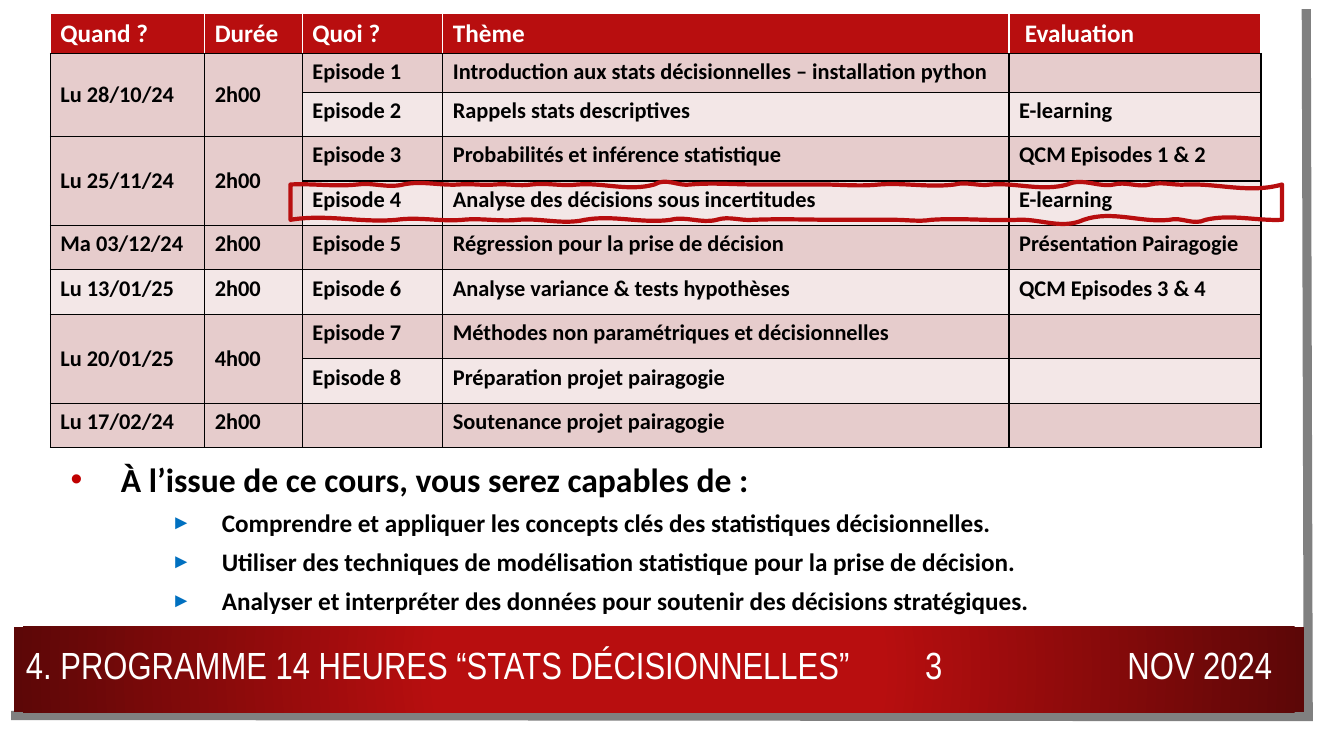
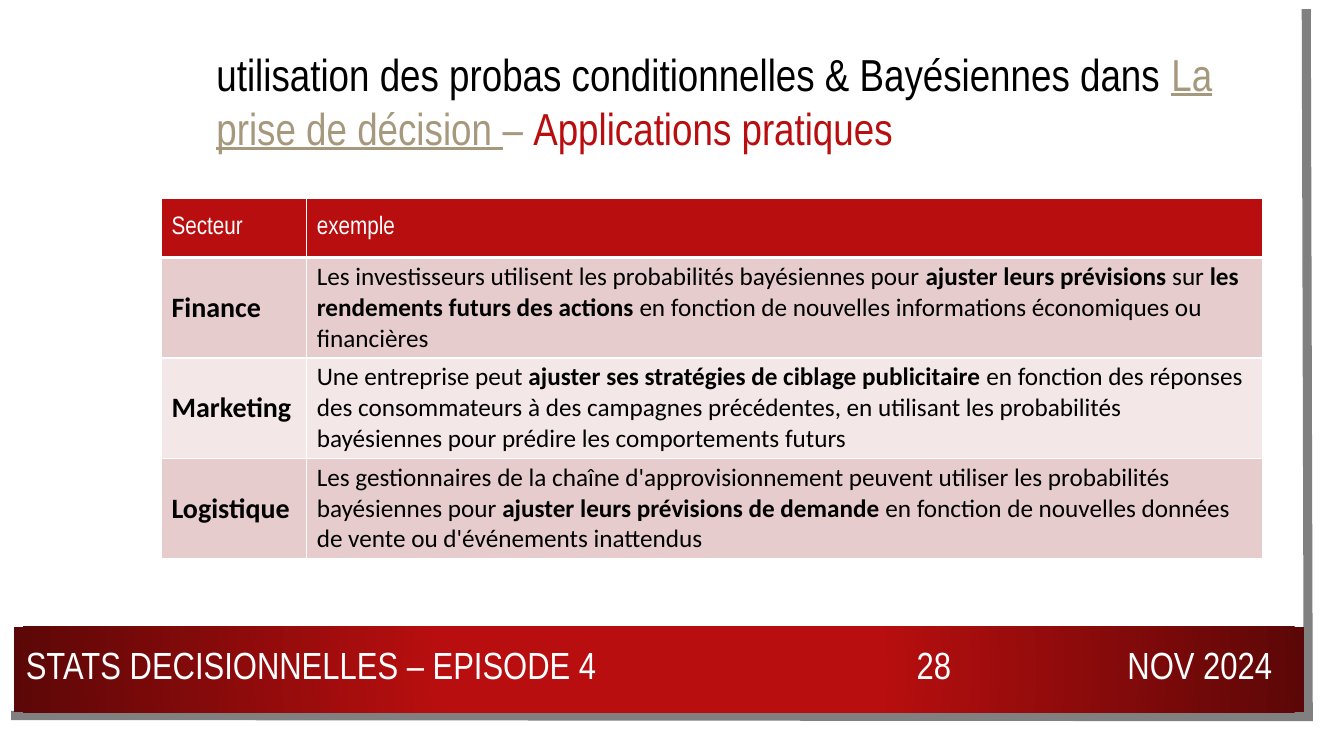
import pptx
import pptx.util
import pptx.dml.color
import pptx.enum.shapes
import pptx.enum.text
import pptx.oxml
import pptx.oxml.ns
from lxml import etree

Cm = pptx.util.Cm
Pt = pptx.util.Pt
ALIGN = pptx.enum.text.PP_ALIGN
ANCHOR = pptx.enum.text.MSO_ANCHOR
RED, DARK, ROSE, PALE = "B80E0F", "5C0707", "E6CCCC", "F3E7E7"
WHITE, BLACK, GREY, TAN = "FFFFFF", "000000", "808080", "A6987D"
NARROW, SANS = "Arial Narrow", "Calibri"
PLAIN = "{2D5ABB26-0587-4C30-8999-92F81FD0307C}"
FOOT = (0.35, 15.79, 32.51, 2.16)

PLAN = [
    ["Quand ?", "Durée", "Quoi ?", "Thème", "Evaluation"],
    ["Lu 28/10/24", "2h00", "Episode 1",
     "Introduction aux stats décisionnelles – installation python", ""],
    ["", "", "Episode 2", "Rappels stats descriptives", "E-learning"],
    ["Lu 25/11/24", "2h00", "Episode 3",
     "Probabilités et inférence statistique", "QCM Episodes 1 & 2"],
    ["", "", "Episode 4", "Analyse des décisions sous incertitudes", "E-learning"],
    ["Ma 03/12/24", "2h00", "Episode 5",
     "Régression pour la prise de décision", "Présentation Pairagogie"],
    ["Lu 13/01/25", "2h00", "Episode 6",
     "Analyse variance & tests hypothèses", "QCM Episodes 3 & 4"],
    ["Lu 20/01/25", "4h00", "Episode 7",
     "Méthodes non paramétriques et décisionnelles", ""],
    ["", "", "Episode 8", "Préparation projet pairagogie", ""],
    ["Lu 17/02/24", "2h00", "", "Soutenance projet pairagogie", ""],
]
GOALS = [
    "À l’issue de ce cours, vous serez capables de :",
    "Comprendre et appliquer les concepts clés des statistiques décisionnelles.",
    "Utiliser des techniques de modélisation statistique pour la prise de décision.",
    "Analyser et interpréter des données pour soutenir des décisions stratégiques.",
]
CASES = [
    ["Secteur", "exemple"],
    ["|Finance|",
     "Les investisseurs utilisent les probabilités bayésiennes pour |ajuster leurs "
     "prévisions |sur |les rendements futurs des actions |en fonction de nouvelles "
     "informations économiques ou financières"],
    ["|Marketing|",
     "Une entreprise peut |ajuster ses stratégies de ciblage publicitaire |en fonction "
     "des réponses des consommateurs à des campagnes précédentes, en utilisant les "
     "probabilités bayésiennes pour prédire les comportements futurs"],
    ["|Logistique|",
     "Les gestionnaires de la chaîne d'approvisionnement peuvent utiliser les "
     "probabilités bayésiennes pour |ajuster leurs prévisions de demande |en fonction "
     "de nouvelles données de vente ou d'événements inattendus"],
]
CREST = [
    (0, 0.03), (1.68, 0.06), (2.84, 0.1), (4.24, 0.03), (5.16, 0.03), (6.07, 0.05),
    (7.24, 0.05), (9.17, 0.18), (10.08, 0.05), (11.73, 0), (13.41, 0), (14.83, 0.05),
    (16.74, 0.08), (17.65, 0.05), (19.58, 0.18), (20.75, 0.08), (21.67, 0.08),
    (22.58, 0.03), (24.99, 0.23),
]
BASE = [
    (24.99, -0.03), (23.06, -0.15), (22.15, -0.08), (19.99, -0.25), (18.34, -0.03),
    (16.15, -0.05), (15.24, 0), (13.82, 0), (11.66, -0.03), (10.74, -0.1), (9.58, -0.1),
    (7.42, -0.13), (5.74, -0.05), (4.34, -0.05), (2.67, -0.08), (0, -0.15),
]


def hue(code):
    return pptx.dml.color.RGBColor.from_string(code)


def place(box):
    return [Cm(v) for v in box]


def style(font, size, face, code, bold=None):
    font.size, font.name, font.bold = Pt(size), face, bold
    font.color.rgb = hue(code)


def rect(slide, box):
    shape = slide.shapes.add_shape(pptx.enum.shapes.MSO_SHAPE.RECTANGLE, *place(box))
    shape.shadow.inherit = False
    shape.line.fill.background()
    return shape


def trace(slide, dots, code, width, close):
    dots = [(Cm(x), Cm(y)) for x, y in dots]
    pen = slide.shapes.build_freeform(*dots[0], scale=1.0)
    pen.add_line_segments(dots[1:], close=close)
    shape = pen.convert_to_shape()
    shape.shadow.inherit = False
    shape.fill.background()
    shape.line.color.rgb = hue(code)
    shape.line.width = Pt(width)
    return shape


def backdrop(slide, layout):
    sheet = rect(slide, (0.33, 0.23, 33.27, 18.47))
    sheet.fill.solid()
    sheet.fill.fore_color.rgb = hue(WHITE)
    edge = trace(slide, [(32.92, 0.23), (32.97, 18.06), (0.28, 18.03)], GREY, 6.5, False)
    join = etree.SubElement(edge.element.xpath(".//a:ln")[0], pptx.oxml.ns.qn("a:miter"))
    join.set("lim", "800000")
    band = rect(slide, FOOT)
    band.fill.gradient()
    for stop, (code, spot) in zip(band.fill.gradient_stops, ((RED, 0.34), (DARK, 1))):
        stop.color.rgb, stop.position = hue(code), spot
    line = band.element.xpath(".//a:lin")[0]
    line.getparent().replace(line, pptx.oxml.parse_xml(
        f'<a:path {pptx.oxml.ns.nsdecls("a")} path="circle">'
        '<a:fillToRect l="50000" t="50000" r="50000" b="50000"/></a:path>'))
    for i, shape in enumerate((sheet, edge, band)):
        shape.element.xpath(".//p:cNvPr")[0].set("id", str(101 + i))
        layout.shapes.element.insert(2 + i, shape.element)


def footer(slide, box, label, number, title=None):
    left, top = box[:2]
    parts = (
        (label, 0.05, 21.84, ALIGN.LEFT, title),
        (number, 21.93, 2.51, ALIGN.CENTER, None),
        ("NOV 2024", 24.49, 7.47, ALIGN.RIGHT, None),
    )
    for text, x, width, align, shape in parts:
        spot = place((left + x, top + 0.26, width, 1.4))
        shape = shape or slide.shapes.add_textbox(*spot)
        shape.left, shape.top, shape.width, shape.height = spot
        frame = shape.text_frame
        frame.word_wrap = True
        frame.auto_size = pptx.enum.text.MSO_AUTO_SIZE.NONE
        frame.vertical_anchor = ANCHOR.MIDDLE
        para = frame.paragraphs[0]
        para.text, para.alignment = text, align
        style(para.font, 27, NARROW, WHITE)


def border(cell, code, base=None):
    props = cell._tc.get_or_add_tcPr()
    for i, side in enumerate("LRTB"):
        tint, width = base if base and side == "B" else (code, 1)
        props.insert(i, pptx.oxml.parse_xml(
            f'<a:ln{side} {pptx.oxml.ns.nsdecls("a")} w="{Pt(width)}"><a:solidFill>'
            f'<a:srgbClr val="{tint}"/></a:solidFill></a:ln{side}>'))


def grid(slide, spot, cols, rows, data, look):
    size = (sum(cols), sum(rows))
    table = slide.shapes.add_table(len(rows), len(cols), *place(spot + size)).table
    table.first_row = table.horz_banding = False
    table._tbl.tblPr.find(pptx.oxml.ns.qn("a:tableStyleId")).text = PLAIN
    for col, width in zip(table.columns, cols):
        col.width = Cm(width)
    for row, height in zip(table.rows, rows):
        row.height = Cm(height)
    for r, line in enumerate(data):
        for c, text in enumerate(line):
            cell = table.cell(r, c)
            cell.fill.solid()
            cell.fill.fore_color.rgb = hue(RED if r == 0 else ROSE if r % 2 else PALE)
            cell.vertical_anchor = look["anchor"]
            head = r == 0
            border(cell, WHITE if head else look["rule"], look["base"] if head else None)
            para = cell.text_frame.paragraphs[0]
            for i, part in enumerate(text.split("|")):
                if part:
                    run = para.add_run()
                    run.text = part
                    if i % 2:
                        run.font.bold = True
            if head:
                style(para.font, 18, look["face"], WHITE, look["bold"])
            else:
                style(para.font, look["sizes"][c], SANS, BLACK, look["bold"])
    return table


def program(slide, spot):
    look = dict(anchor=ANCHOR.TOP, rule=BLACK, base=(BLACK, 1), face=SANS,
                bold=True, sizes=[16] * 5)
    rows = [1.02, 0.98, 1.11] + [1.12] * 7
    table = grid(slide, spot, (3.89, 2.46, 3.54, 14.27, 6.35), rows, PLAN, look)
    table.cell(0, 4).margin_left = Cm(0.4)
    for r, line in enumerate(PLAN):
        if not line[0]:
            for c in (0, 1):
                table.cell(r - 1, c).merge(table.cell(r, c))
                table.cell(r - 1, c).vertical_anchor = ANCHOR.MIDDLE


def bullet(para, mark, code, indent, scale):
    props = para._p.get_or_add_pPr()
    props.set("marL", str(Cm(indent)))
    props.set("indent", str(-Cm(1.27)))
    tint = etree.SubElement(props, pptx.oxml.ns.qn("a:buClr"))
    etree.SubElement(tint, pptx.oxml.ns.qn("a:srgbClr")).set("val", code)
    for tag, key, val in (("buSzPct", "val", str(scale * 1000)),
                          ("buFont", "typeface", "Arial"), ("buChar", "char", mark)):
        etree.SubElement(props, pptx.oxml.ns.qn("a:" + tag)).set(key, val)


def goals(slide, box):
    frame = slide.shapes.add_textbox(*place(box)).text_frame
    frame.word_wrap = True
    for i, text in enumerate(GOALS):
        para = frame.add_paragraph() if i else frame.paragraphs[0]
        para.text = text
        if i:
            para.level = 2
            bullet(para, "►", "0070C0", 3.81, 80)
        else:
            bullet(para, "•", "C00000", 1.27, 100)
        para.alignment = ALIGN.JUSTIFY
        para.space_after = Pt(6)
        style(para.font, 18 if i else 24, SANS, BLACK, True)


def sketch(slide, spot, height):
    left, top = spot
    knots = [(x, 0, d) for x, d in CREST] + [(x, height, d) for x, d in BASE]
    shape = trace(slide, [(left + x, top + y) for x, y, d in knots], RED, 3, True)
    lines = shape.element.xpath(".//a:lnTo")
    for line, (x0, y0, d0), (x1, y1, d1) in zip(lines, knots, knots[1:]):
        if y0 != y1:
            continue
        third = (x1 - x0) / 3
        arc = etree.Element(pptx.oxml.ns.qn("a:cubicBezTo"))
        for x, y in ((x0 + third, y0 - d0), (x1 - third, y1 + d1), (x1, y1)):
            dot = etree.SubElement(arc, pptx.oxml.ns.qn("a:pt"))
            dot.set("x", str(Cm(x)))
            dot.set("y", str(Cm(y)))
        line.getparent().replace(line, arc)


def heading(slide, box):
    title = slide.shapes.title
    title.left, title.top, title.width, title.height = place(box)
    frame = title.text_frame
    frame.word_wrap = True
    frame.auto_size = pptx.enum.text.MSO_AUTO_SIZE.NONE
    frame.vertical_anchor = ANCHOR.TOP
    para = frame.paragraphs[0]
    para.alignment = ALIGN.LEFT
    style(para.font, 32, NARROW, BLACK)
    parts = (
        ("utilisation des probas conditionnelles & Bayésiennes dans ", BLACK),
        ("La prise de décision ", TAN),
        ("– ", TAN),
        ("Applications pratiques", RED),
    )
    for i, (text, code) in enumerate(parts):
        run = para.add_run()
        run.text = text
        run.font.color.rgb = hue(code)
        if i == 1:
            run.font.underline = True


def cases(slide, spot):
    look = dict(anchor=ANCHOR.MIDDLE, rule=WHITE, base=(WHITE, 3), face=NARROW,
                bold=False, sizes=(20, 18))
    table = grid(slide, spot, (3.66, 24.1), [1.5] + [2.53] * 3, CASES, look)
    for r in range(1, len(CASES)):
        cell = table.cell(r, 1)
        cell.margin_top = cell.margin_bottom = Cm(0.1)
        cell.margin_right = Cm(0.35)


def main():
    deck = pptx.Presentation()
    deck.slide_width, deck.slide_height = Cm(33.87), Cm(19.05)
    layout = deck.slide_layouts[5]

    slide = deck.slides.add_slide(layout)
    backdrop(slide, layout)
    footer(slide, FOOT, "4. PROGRAMME 14 HEURES “STATS DÉCISIONNELLES”", "3",
           slide.shapes.title)
    goals(slide, (1.53, 11.44, 29.92, 4.24))
    program(slide, (1.27, 0.33))
    sketch(slide, (7.32, 4.65), 0.89)

    slide = deck.slides.add_slide(layout)
    footer(slide, FOOT, "STATS DECISIONNELLES – EPISODE 4", "28")
    heading(slide, (5.2, 1.05, 27.58, 3))
    cases(slide, (4.07, 4.99))
    deck.save("out.pptx")


if __name__ == "__main__":
    main()
